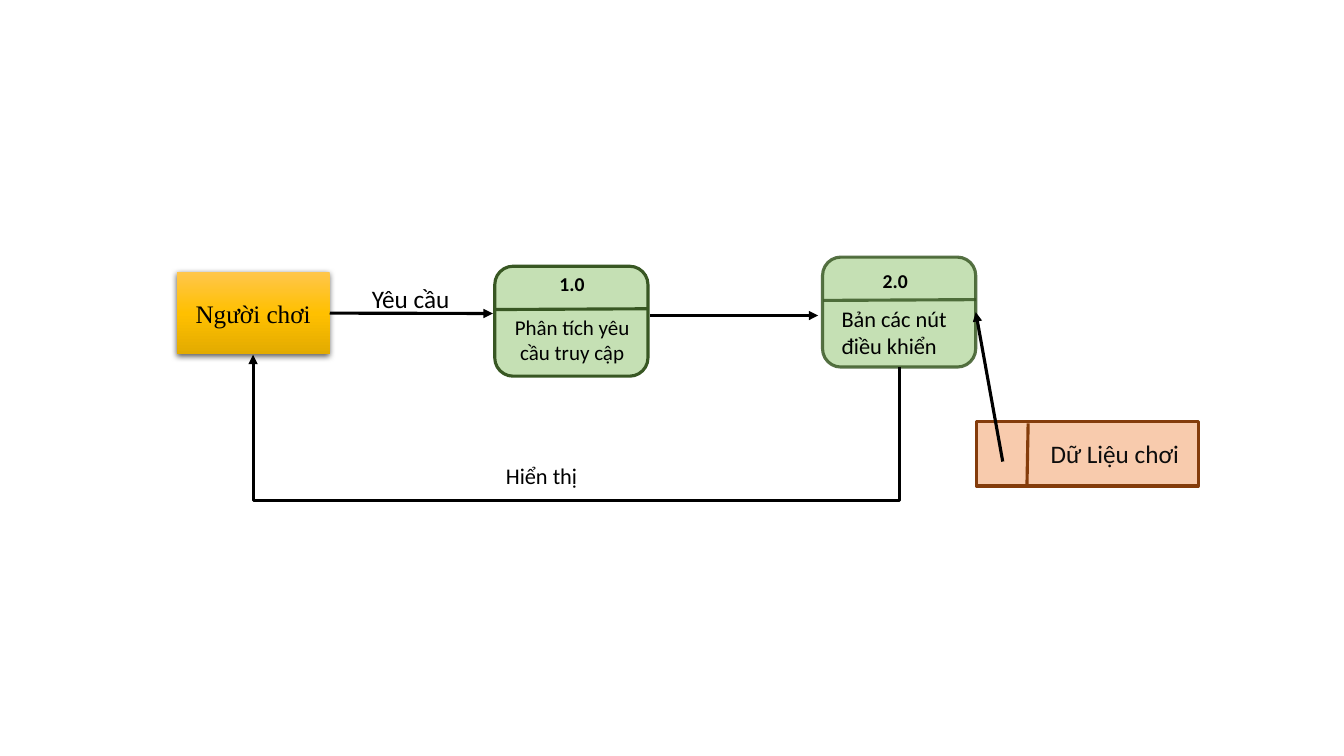
from copy import deepcopy
from dataclasses import dataclass

from lxml import etree
from pptx import Presentation
from pptx import util as u
from pptx.dml import color as c
from pptx.enum import shapes as s
from pptx.enum import text as t
from pptx.oxml import ns


@dataclass(frozen=True)
class Theme:
    ink: str = "000000"
    store_ink: str = "0D0D0D"
    player_stops: tuple = ("FFC64B", "FFC000", "E3AB00")
    process_fill: str = "C5E0B4"
    process_line: str = "385723"
    store_fill: str = "F8CBAD"
    store_line: str = "843C0B"
    body_font: str = "Calibri"
    player_font: str = "Times New Roman"
    stroke: float = 2.25
    number_size: int = 14
    step_size: int = 15
    label_size: int = 16
    large_size: int = 18


THEME = Theme()


def rgb(value):
    return c.RGBColor.from_string(value)


def add_child(parent, tag, **attributes):
    return etree.SubElement(parent, ns.qn(tag), attributes)


def set_line(shape, color, opacity=100):
    shape.line.color.rgb = rgb(color)
    shape.line.width = u.Pt(THEME.stroke)
    if opacity < 100:
        line_color = shape._element.spPr.find(".//" + ns.qn("a:ln")).find(".//" + ns.qn("a:srgbClr"))
        add_child(line_color, "a:alpha", val=str(opacity * 1000))


def write(frame, content, size, align, font=THEME.body_font, color=THEME.ink, bold=False):
    frame.word_wrap = True
    paragraph = frame.paragraphs[0]
    paragraph.alignment = align
    run = paragraph.add_run()
    run.text = content
    run.font.name = font
    run.font.size = u.Pt(size)
    run.font.bold = bold
    run.font.color.rgb = rgb(color)


def add_label(slide, box, content, size, align=t.PP_ALIGN.LEFT, bold=False):
    frame = slide.shapes.add_textbox(*map(u.Cm, box)).text_frame
    frame.auto_size = t.MSO_AUTO_SIZE.SHAPE_TO_FIT_TEXT
    write(frame, content, size, align, bold=bold)


def add_box(container, kind, box, fill, line, opacity=100):
    shape = container.add_shape(kind, *map(u.Cm, box))
    shape.shadow.inherit = False
    shape.fill.solid()
    shape.fill.fore_color.rgb = rgb(fill)
    set_line(shape, line, opacity)
    return shape


def add_line(container, start, end, color=THEME.ink, opacity=100, arrow=False, kind=s.MSO_CONNECTOR.STRAIGHT):
    connector = container.add_connector(kind, *map(u.Cm, (*start, *end)))
    set_line(connector, color, opacity)
    if arrow:
        add_child(connector.line._get_or_add_ln(), "a:tailEnd", type="triangle")
    add_child(connector._element.spPr, "a:effectLst")
    return connector


def add_return_arrow(slide, start, end, floor):
    rise, span = start[1] - end[1], start[0] - end[0]
    center_x, center_y = (start[0] + end[0]) / 2, (start[1] + end[1]) / 2
    connector = add_line(
        slide.shapes,
        (center_x + rise / 2, center_y - span / 2),
        (center_x - rise / 2, center_y + span / 2),
        arrow=True,
        kind=s.MSO_CONNECTOR.ELBOW,
    )
    properties = connector._element.spPr
    properties.find(ns.qn("a:xfrm")).set("rot", "5400000")
    geometry = properties.find(ns.qn("a:prstGeom"))
    guides = geometry.find(ns.qn("a:avLst"))
    if guides is None:
        guides = add_child(geometry, "a:avLst")
    bend = round((start[1] - floor) / rise * 100000)
    add_child(guides, "a:gd", name="adj1", fmla=f"val {bend}")


def add_player(slide, box, content):
    shape = slide.shapes.add_shape(s.MSO_SHAPE.RECTANGLE, *map(u.Cm, box))
    shape.fill.gradient()
    shape.fill.gradient_angle = 270
    stops = shape._element.spPr.find(".//" + ns.qn("a:gsLst"))
    stops.insert(1, deepcopy(stops[0]))
    for index, (stop, color) in enumerate(zip(shape.fill.gradient_stops, THEME.player_stops)):
        stop.position = index / 2
        stop.color.rgb = rgb(color)
    shape.line.fill.background()
    shape.shadow.inherit = False
    effects = shape._element.spPr.find(ns.qn("a:effectLst"))
    shadow = add_child(effects, "a:outerShdw", blurRad=str(u.Pt(4.5)), dist=str(u.Pt(1.5)),
                       dir="5400000", algn="ctr", rotWithShape="0")
    add_child(add_child(shadow, "a:srgbClr", val=THEME.ink), "a:alpha", val="63000")
    shape.text_frame.vertical_anchor = t.MSO_ANCHOR.MIDDLE
    write(shape.text_frame, content, THEME.large_size, t.PP_ALIGN.CENTER, THEME.player_font)
    return shape


def add_process(slide, left, top, opacity=100):
    group = slide.shapes.add_group_shape().shapes
    width = 3.86
    shape = add_box(group, s.MSO_SHAPE.ROUNDED_RECTANGLE, (left, top, width, 2.77),
                    THEME.process_fill, THEME.process_line, opacity)
    add_line(group, (left + 0.02, top + 1.09), (left + width, top + 1.07), THEME.process_line, opacity)
    return shape


def add_store(slide, box, content):
    group = slide.shapes.add_group_shape().shapes
    left, top, _, height = box
    shape = add_box(group, s.MSO_SHAPE.RECTANGLE, box, THEME.store_fill, THEME.store_line)
    frame = shape.text_frame
    frame.margin_left = u.Cm(1.63)
    frame.vertical_anchor = t.MSO_ANCHOR.MIDDLE
    write(frame, content, THEME.large_size, t.PP_ALIGN.CENTER, color=THEME.store_ink)
    add_line(group, (left + 1.3, top + 0.05), (left + 1.27, top + height), THEME.store_line)


def main():
    presentation = Presentation()
    presentation.slide_width = u.Cm(33.87)
    presentation.slide_height = u.Cm(19.05)
    slide = presentation.slides.add_slide(presentation.slide_layouts[6])
    center = t.PP_ALIGN.CENTER

    player = add_player(slide, (4.45, 6.86, 3.86, 2.06), "Người chơi")
    add_process(slide, 12.47, 6.71)
    controls = add_process(slide, 20.73, 6.48, opacity=83)
    add_store(slide, (24.61, 10.62, 5.59, 1.63), "Dữ Liệu chơi")

    add_label(slide, (12.8, 6.73, 3.23, 0.86), "1.0", THEME.number_size, center, bold=True)
    add_label(slide, (12.5, 7.8, 3.84, 1.52), "Phân tích yêu cầu truy cập", THEME.step_size, center)
    add_label(slide, (20.96, 6.65, 3.2, 0.86), "2.0", THEME.number_size, center, bold=True)
    add_label(slide, (20.96, 7.57, 3.43, 1.63), "Bản các nút điều khiển", THEME.label_size)
    add_label(slide, (9.12, 7.01, 2.64, 1.02), "Yêu cầu", THEME.large_size)
    add_label(slide, (12.5, 11.53, 2.74, 0.94), "Hiển thị", THEME.label_size)

    request = add_line(slide.shapes, (8.31, 7.89), (12.42, 7.9), arrow=True)
    request.begin_connect(player, 3)
    add_line(slide.shapes, (16.38, 7.95), (20.62, 7.95), arrow=True)
    add_return_arrow(slide, (22.66, 9.25), (6.38, 8.94), floor=12.62)
    lookup = add_line(slide.shapes, (25.27, 11.63), (24.59, 7.87), arrow=True)
    lookup.end_connect(controls, 3)

    presentation.save("out.pptx")


if __name__ == "__main__":
    main()
